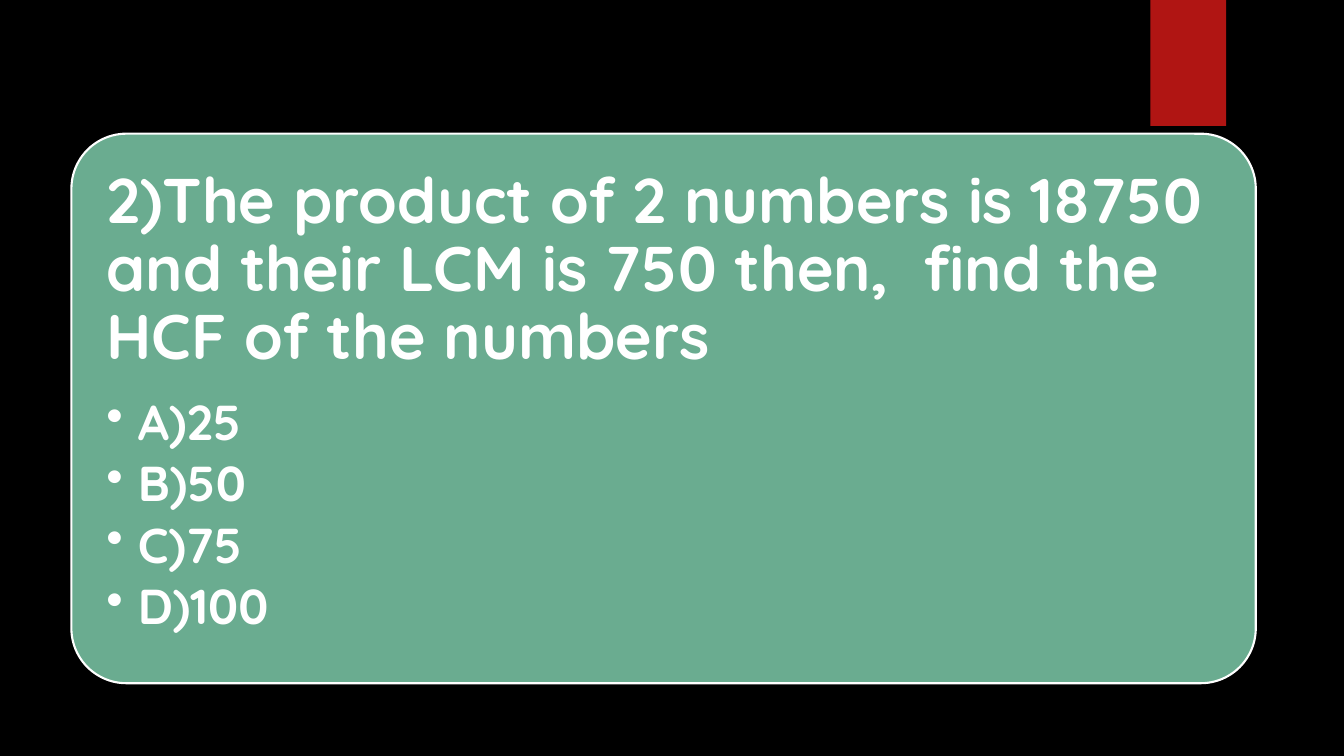
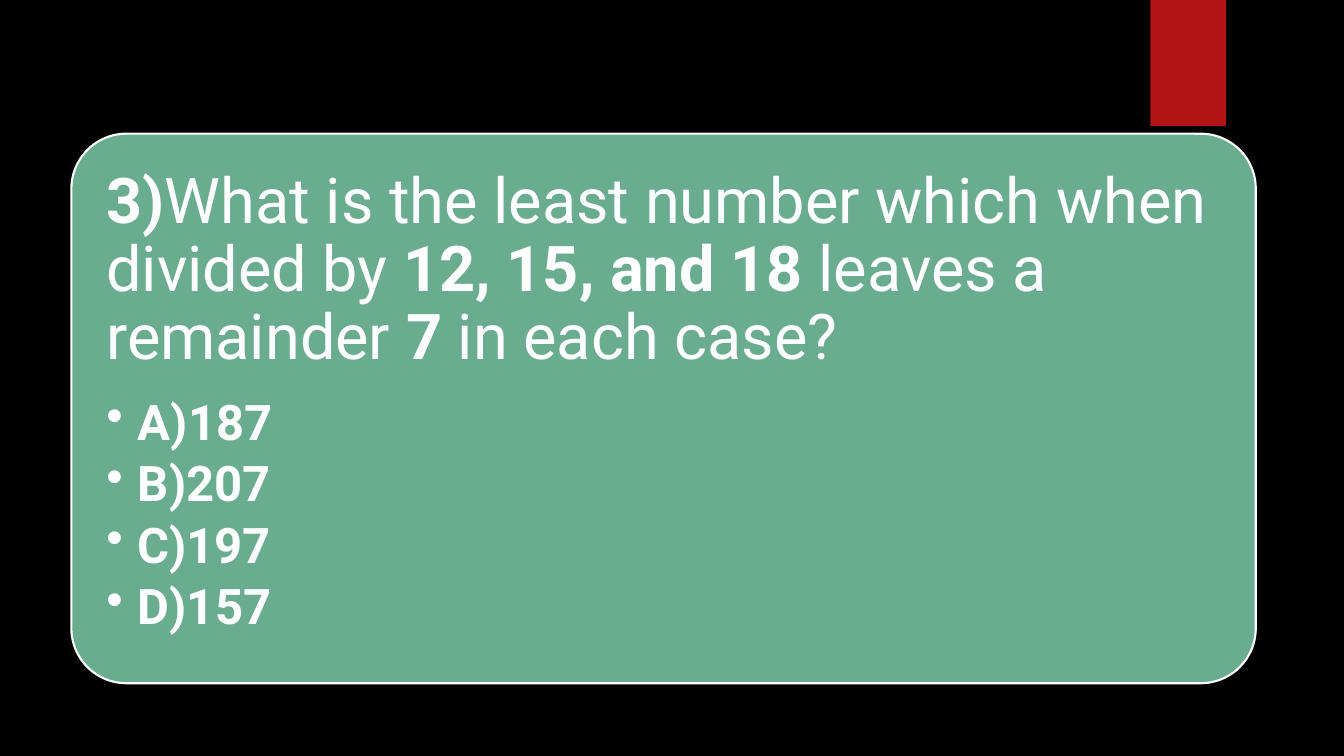
from lxml.etree import SubElement
from pptx import Presentation
from pptx.dml.color import RGBColor
from pptx.enum.shapes import MSO_SHAPE
from pptx.enum.text import MSO_ANCHOR, PP_ALIGN
from pptx.oxml.ns import qn
from pptx.util import Pt

BLACK = RGBColor(0x00, 0x00, 0x00)
WHITE = RGBColor(0xFF, 0xFF, 0xFF)
RED = RGBColor(0xB0, 0x15, 0x13)
GREEN = RGBColor(0x6A, 0xAC, 0x90)

INSET = Pt(13.5)
INDENT = Pt(22.5)
FRAME_FORMAT = {
    "word_wrap": True,
    "vertical_anchor": MSO_ANCHOR.TOP,
    "margin_left": INSET,
    "margin_top": INSET,
    "margin_right": INSET,
    "margin_bottom": INSET,
}
QUESTION_FORMAT = {"alignment": PP_ALIGN.LEFT, "line_spacing": 0.9, "space_after": Pt(18)}
OPTION_FORMAT = {**QUESTION_FORMAT, "space_after": Pt(6), "level": 1}

QUESTIONS = [
    {
        "font": "Quicksand",
        "question": [
            ("2)The product of 2 numbers is 18750 and their LCM is 750 then,  find the HCF of the numbers", True),
        ],
        "options": ["A)25", "B)50", "C)75", "D)100"],
    },
    {
        "font": "Roboto",
        "question": [
            ("3)", True),
            ("What is the least number which when divided by ", False),
            ("12, 15, and 18", True),
            (" leaves a remainder ", False),
            ("7", True),
            (" in each case?", False),
        ],
        "options": ["A)187", "B)207", "C)197", "D)157"],
    },
]


def set_format(target, values):
    for name, value in values.items():
        setattr(target, name, value)


def add_run(paragraph, text, font_name, size, bold):
    run = paragraph.add_run()
    run.text = text
    set_format(run.font, {"name": font_name, "size": Pt(size), "bold": bold})
    run.font.color.rgb = WHITE


presentation = Presentation()
set_format(presentation, {"slide_width": Pt(960), "slide_height": Pt(540)})
master_fill = presentation.slide_master.background.fill
master_fill.solid()
master_fill.fore_color.rgb = BLACK

for content in QUESTIONS:
    slide = presentation.slides.add_slide(presentation.slide_layouts[6])

    band = slide.shapes.add_shape(MSO_SHAPE.RECTANGLE, Pt(821.75), Pt(0), Pt(54), Pt(90))
    card = slide.shapes.add_shape(MSO_SHAPE.ROUNDED_RECTANGLE, Pt(51), Pt(95.5), Pt(846), Pt(392.5))
    for shape, color in ((band, RED), (card, GREEN)):
        shape.shadow.inherit = False
        shape.fill.solid()
        shape.fill.fore_color.rgb = color
    band.line.fill.background()
    card.line.color.rgb = WHITE
    card.line.width = Pt(1.5)
    card.adjustments[0] = 0.1

    text_frame = card.text_frame
    set_format(text_frame, FRAME_FORMAT)
    paragraph = text_frame.paragraphs[0]
    set_format(paragraph, QUESTION_FORMAT)
    for text, bold in content["question"]:
        add_run(paragraph, text, content["font"], 45, bold)

    for option in content["options"]:
        paragraph = text_frame.add_paragraph()
        set_format(paragraph, OPTION_FORMAT)
        properties = paragraph._p.get_or_add_pPr()
        properties.set("marL", str(INDENT))
        properties.set("indent", str(-INDENT))
        SubElement(properties, qn("a:buChar")).set("char", "•")
        add_run(paragraph, option, content["font"], 35, True)

presentation.save("out.pptx")
